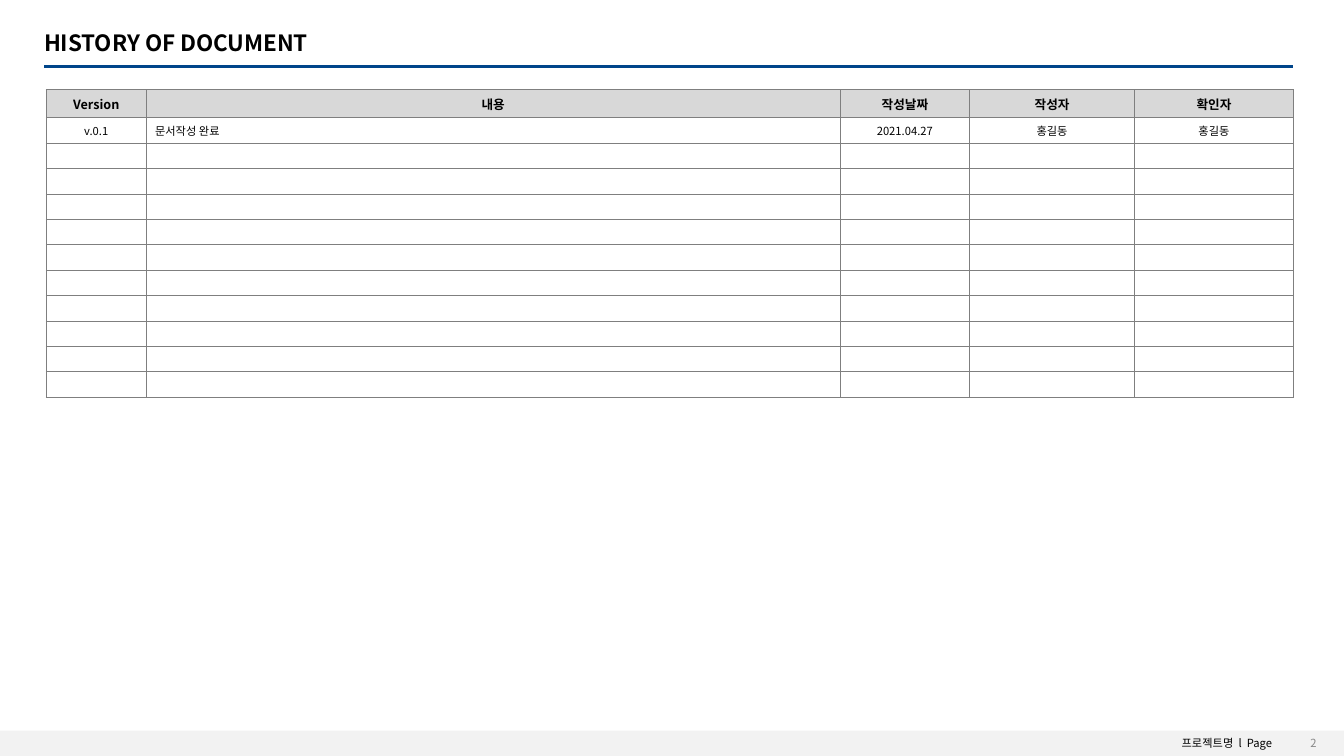
"""Build the document history slide."""
from dataclasses import dataclass

from lxml.etree import SubElement
from pptx import Presentation
from pptx.dml.color import RGBColor
from pptx.enum.shapes import MSO_CONNECTOR as Connector, MSO_SHAPE as Preset
from pptx.enum.text import MSO_ANCHOR as Anchor, PP_ALIGN as Align
from pptx.oxml.ns import qn
from pptx.util import Cm, Pt

BLACK = RGBColor(0x00, 0x00, 0x00)
WHITE = RGBColor(0xFF, 0xFF, 0xFF)
NAVY = RGBColor(0x00, 0x45, 0x8A)
BAND_GREY = RGBColor(0xF2, 0xF2, 0xF2)
HEADER_GREY = RGBColor(0xD8, 0xD8, 0xD8)
BORDER_GREY = RGBColor(0x7F, 0x7F, 0x7F)
NUMBER_GREY = RGBColor(0x88, 0x88, 0x88)
FONT = "Noto Sans CJK KR"

COLUMN_WIDTHS = (2.51, 17.5, 3.25, 4.17, 3.99)
HEADER_HEIGHT, ROW_HEIGHT = 0.71, 0.64
EMPTY_ROWS = 10
HEADINGS = ("Version", "내용", "작성날짜", "작성자", "확인자")
FIRST_ENTRY = ("v.0.1", "문서작성 완료", "2021.04.27", "홍길동", "홍길동")
CONTENT_COLUMN = 1


@dataclass(frozen=True)
class Style:
    """Character look of a run."""
    size: float
    color: RGBColor = BLACK
    bold: bool = False


@dataclass(frozen=True)
class Label:
    """Text box in centimetres; each run is a text and its letter spacing."""
    left: float
    top: float
    width: float
    height: float
    runs: tuple[tuple[str, int], ...]
    style: Style
    align: Align = Align.RIGHT
    anchor: Anchor = Anchor.MIDDLE
    line_spacing: float = 1.0


HEADER_STYLE = Style(9, bold=True)
BODY_STYLE = Style(8)
WIDE_SPACE = (" ", 180)
LABELS = (
    Label(25.4, 18.44, 6.91, 0.61,
          (("프로젝트명", 0), WIDE_SPACE, ("l", 0), WIDE_SPACE, ("Page", 0)),
          BODY_STYLE, anchor=Anchor.TOP),
    Label(0.86, 0.71, 31.42, 0.79, (("HISTORY OF DOCUMENT", 0),),
          Style(16, bold=True), align=Align.LEFT, line_spacing=0.9),
    Label(31.65, 18.54, 1.78, 0.38, (("2", 0),), Style(8, NUMBER_GREY)),
)


def add_span(para, text: str, style: Style, spacing: int = 0) -> None:
    """Add one styled run to a paragraph."""
    span = para.add_run()
    span.text = text
    span.font.size = Pt(style.size)
    span.font.bold = style.bold
    span.font.color.rgb = style.color
    span.font.name = FONT
    properties = span._r.get_or_add_rPr()
    SubElement(properties, qn("a:ea"), typeface=FONT)
    if spacing:
        properties.set("spc", str(spacing))


def add_label(page, label: Label) -> None:
    """Draw a text box."""
    box = page.shapes.add_textbox(Cm(label.left), Cm(label.top),
                                  Cm(label.width), Cm(label.height))
    frame = box.text_frame
    frame.word_wrap = True
    frame.vertical_anchor = label.anchor
    para = frame.paragraphs[0]
    para.alignment = label.align
    para.line_spacing = label.line_spacing
    for text, spacing in label.runs:
        add_span(para, text, label.style, spacing)


def add_footer_band(page) -> None:
    """Draw the grey band along the bottom edge."""
    band = page.shapes.add_shape(Preset.RECTANGLE, Cm(0), Cm(18.41), Cm(33.87), Cm(0.64))
    band.shadow.inherit = False
    band.fill.solid()
    band.fill.fore_color.rgb = BAND_GREY
    band.line.fill.background()


def add_title_rule(page) -> None:
    """Draw the line under the title."""
    rule = page.shapes.add_connector(Connector.STRAIGHT, Cm(1.12), Cm(1.68), Cm(32.59), Cm(1.68))
    rule.line.color.rgb = NAVY
    rule.line.width = Pt(2.25)
    SubElement(rule._element.spPr, qn("a:effectLst"))


def format_cell(cell, fill: RGBColor) -> None:
    """Set borders, fill, margins and anchor of a cell."""
    properties = cell._tc.get_or_add_tcPr()
    for side in ("lnL", "lnR", "lnT", "lnB"):
        border = SubElement(properties, qn(f"a:{side}"), w=str(Pt(0.75)))
        solid = SubElement(border, qn("a:solidFill"))
        SubElement(solid, qn("a:srgbClr"), val=str(BORDER_GREY))
    cell.fill.solid()
    cell.fill.fore_color.rgb = fill
    cell.vertical_anchor = Anchor.MIDDLE
    cell.margin_left = cell.margin_right = Cm(0.23)
    cell.margin_top = cell.margin_bottom = Cm(0.11)


def fill_cell(cell, text: str, style: Style, align: Align) -> None:
    """Write a cell, or give an empty one its text size."""
    para = cell.text_frame.paragraphs[0]
    para.alignment = align
    if text:
        add_span(para, text, style)
    else:
        ending = SubElement(para._p, qn("a:endParaRPr"), sz=str(round(style.size * 100)))
        for script in ("a:latin", "a:ea"):
            SubElement(ending, qn(script), typeface=FONT)


def add_history_table(page) -> None:
    """Draw the version history table."""
    rows = [HEADINGS, FIRST_ENTRY] + [("",) * len(HEADINGS)] * EMPTY_ROWS
    heights = [HEADER_HEIGHT] + [ROW_HEIGHT] * (len(rows) - 1)
    table = page.shapes.add_table(len(rows), len(HEADINGS), Cm(1.17), Cm(2.26),
                                  Cm(sum(COLUMN_WIDTHS)), Cm(sum(heights))).table
    table.first_row = table.horz_banding = False
    for column, width in zip(table.columns, COLUMN_WIDTHS):
        column.width = Cm(width)
    for row_index, (texts, height) in enumerate(zip(rows, heights)):
        table.rows[row_index].height = Cm(height)
        is_header = row_index == 0
        for column_index, text in enumerate(texts):
            cell = table.cell(row_index, column_index)
            format_cell(cell, HEADER_GREY if is_header else WHITE)
            is_content = column_index == CONTENT_COLUMN and not is_header
            fill_cell(cell, text, HEADER_STYLE if is_header else BODY_STYLE,
                      Align.LEFT if is_content else Align.CENTER)


def main() -> None:
    """Build and save the deck."""
    deck = Presentation()
    deck.slide_width, deck.slide_height = Cm(33.87), Cm(19.05)
    page = deck.slides.add_slide(deck.slide_layouts[6])
    add_footer_band(page)
    add_title_rule(page)
    for label in LABELS:
        add_label(page, label)
    add_history_table(page)
    deck.save("out.pptx")


if __name__ == "__main__":
    main()
